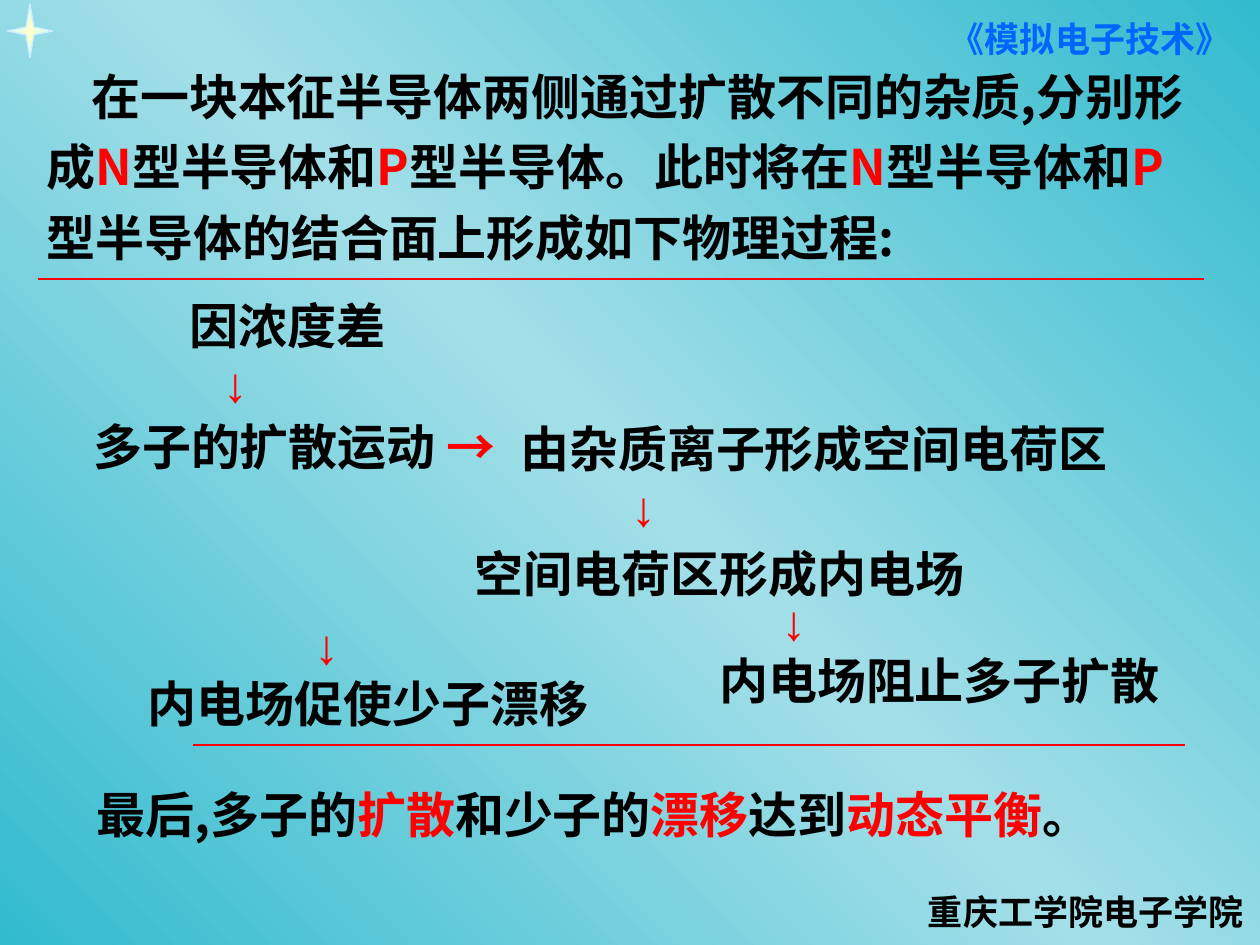
from copy import deepcopy

from lxml.etree import SubElement
from pptx import Presentation
from pptx.dml.color import RGBColor
from pptx.enum.shapes import MSO_CONNECTOR
from pptx.enum.text import MSO_ANCHOR, MSO_AUTO_SIZE, PP_ALIGN
from pptx.oxml.ns import qn
from pptx.util import Cm, Pt

BLACK = RGBColor(0x00, 0x00, 0x00)
RED = RGBColor(0xFF, 0x00, 0x00)
BLUE = RGBColor(0x00, 0x66, 0xFF)
TEAL = RGBColor(0x32, 0xBB, 0xCE)
PALE_TEAL = RGBColor(0xA3, 0xDF, 0xE8)
CREAM = RGBColor(0xFF, 0xFF, 0xCC)
ICE = RGBColor(0xCC, 0xFF, 0xFF)
STAR_EDGE = RGBColor(0xCC, 0xEC, 0xFF)

BODY_FONT = "Noto Sans CJK SC"
LABEL_FONT = "Arial"
DOWN_ARROW = "↓"


def set_all(target, values):
    for name, value in values.items():
        setattr(target, name, value)


def add_run(paragraph, text, font_name, size, color):
    run = paragraph.add_run()
    run.text = text
    set_all(run.font, {"name": font_name, "size": Pt(size), "bold": True})
    run.font.color.rgb = color
    east_asian = SubElement(run.font._element, qn("a:ea"))
    east_asian.set("typeface", font_name)


def add_text(slide, box, lines, font_name=BODY_FONT, size=28, color=BLACK,
             anchor=MSO_ANCHOR.MIDDLE, **paragraph_format):
    """Write (text, margin, first-line indent) lines; pieces between bars are red."""
    frame = slide.shapes.add_textbox(*map(Cm, box)).text_frame
    set_all(frame, {"word_wrap": True, "vertical_anchor": anchor,
                    "auto_size": MSO_AUTO_SIZE.SHAPE_TO_FIT_TEXT})
    for index, (text, margin, first_indent) in enumerate(lines):
        paragraph = frame.add_paragraph() if index else frame.paragraphs[0]
        properties = paragraph._p.get_or_add_pPr()
        properties.set("marL", str(Cm(margin)))
        properties.set("indent", str(Cm(first_indent)))
        set_all(paragraph, paragraph_format)
        for position, piece in enumerate(text.split("|")):
            if piece:
                add_run(paragraph, piece,
                        LABEL_FONT if piece == DOWN_ARROW else font_name,
                        size, RED if position % 2 else color)


def add_divider(slide, left, right, y):
    line = slide.shapes.add_connector(
        MSO_CONNECTOR.STRAIGHT, Cm(left), Cm(y), Cm(right), Cm(y))
    line.line.color.rgb = RED
    line.line.width = Pt(1.25)
    SubElement(line._element.spPr, qn("a:effectLst"))


def paint_background(slide):
    fill = slide.background.fill
    fill.gradient()
    fill.gradient_angle = 225
    for stop in fill.gradient_stops:
        stop.color.rgb = TEAL
    first = slide._element.find(".//" + qn("a:gs"))
    middle = deepcopy(first)
    middle.set("pos", "50000")
    middle[0].set("val", str(PALE_TEAL))
    first.addnext(middle)


def add_star(slide, left, top, width, height):
    """Four-pointed star with a glow from its centre."""
    x, y = left + width / 2, top + height / 2
    notch = 0.08
    points = [(left, y), (x - notch, y - notch), (x, top),
              (x + notch, y - notch), (left + width, y),
              (x + notch, y + notch), (x, top + height),
              (x - notch, y + notch)]
    builder = slide.shapes.build_freeform(*map(Cm, points[0]), scale=1.0)
    builder.add_line_segments([(Cm(a), Cm(b)) for a, b in points[1:]])
    star = builder.convert_to_shape()
    star.shadow.inherit = False
    star.fill.gradient()
    for stop, color in zip(star.fill.gradient_stops, (CREAM, ICE)):
        stop.color.rgb = color
    gradient = star._element.spPr.find(qn("a:gradFill"))
    gradient.remove(gradient.find(qn("a:lin")))
    glow = SubElement(gradient, qn("a:path"), {"path": "rect"})
    SubElement(glow, qn("a:fillToRect"), dict.fromkeys("ltrb", "50000"))
    star.line.color.rgb = STAR_EDGE
    star.line.width = 0


def add_course_labels(slide, school_box, course_box):
    label = {"font_name": LABEL_FONT, "size": 20, "anchor": MSO_ANCHOR.TOP}
    add_text(slide, school_box, [("重庆工学院电子学院", 0, 0)],
             alignment=PP_ALIGN.RIGHT, **label)
    add_text(slide, course_box, [("《模拟电子技术》", 0, 0)], color=BLUE, **label)


def add_intro(slide, box):
    text = ("在一块本征半导体两侧通过扩散不同的杂质,分别形成|N|型半导体和|P|"
            "型半导体。此时将在|N|型半导体和|P|型半导体的结合面上形成如下物理过程:")
    add_text(slide, box, [(text, 0, 0.9)], line_spacing=1.2)


def add_process(slide, left, top):
    """Steps of the junction forming, each with its arrow."""
    def arrow(margin):
        return f"|{DOWN_ARROW}|", margin, 0

    steps = [
        ((1.98, 0.03, 4.7, 3.81), [("因浓度差", 0, 0), arrow(0.67)]),
        ((0.03, 3.06, 9.17, 1.45), [("多子的扩散运动 |→|", 0, 0)]),
        ((8.64, 3.11, 13.26, 2.64),
         [("由杂质离子形成空间电荷区", 0, 0), arrow(2.24)]),
        ((7.72, 5.62, 11.2, 1.45), [("空间电荷区形成内电场", 0, 0)]),
        ((0.46, 6.48, 11.86, 3.81),
         [arrow(4.03), ("内电场促使少子漂移", 0.67, 0)]),
        ((12.57, 6.01, 10.16, 3.81),
         [arrow(1.34), ("内电场阻止多子扩散", 0.08, 0)]),
    ]
    for (x, y, width, height), lines in steps:
        add_text(slide, (left + x, top + y, width, height), lines)


def add_conclusion(slide, box):
    text = "最后,多子的|扩散|和少子的|漂移|达到|动态平衡|。"
    add_text(slide, box, [(text, 0, 0)], line_spacing=1.1)


def main():
    presentation = Presentation()
    presentation.slide_width, presentation.slide_height = Cm(25.4), Cm(19.05)
    slide = presentation.slides.add_slide(presentation.slide_layouts[6])
    paint_background(slide)
    add_star(slide, 0.15, 0.08, 0.91, 1.09)
    add_course_labels(slide, (18.11, 17.83, 7.21, 1.12), (18.9, 0.23, 6.4, 1.12))
    add_intro(slide, (0.69, 0.97, 24, 4.52))
    add_divider(slide, 0.76, 24.28, 5.62)
    add_process(slide, 1.6, 5.2)
    add_divider(slide, 3.89, 23.88, 15.02)
    add_conclusion(slide, (1.7, 15.57, 21.97, 1.57))
    presentation.save("out.pptx")


if __name__ == "__main__":
    main()
